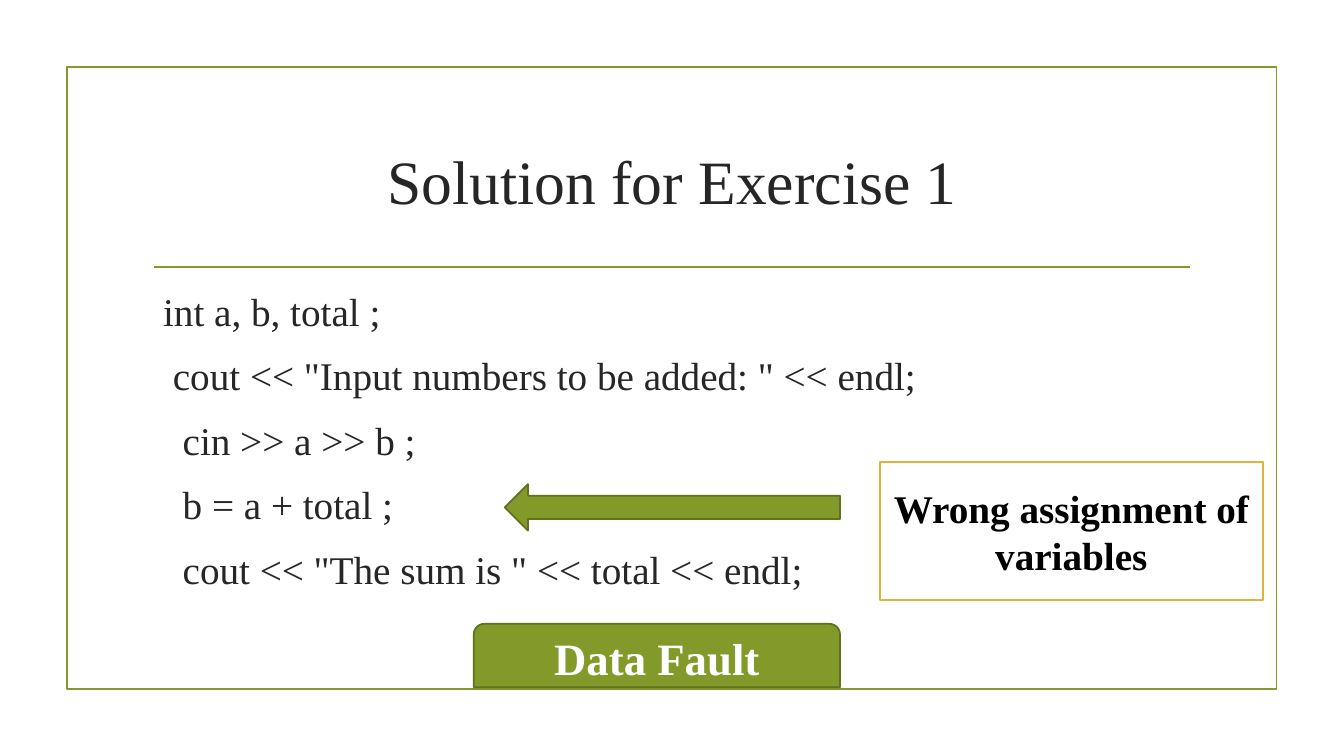
import pptx
import pptx.util
import pptx.dml.color
import pptx.enum.shapes
import pptx.enum.text
import pptx.oxml.ns
from dataclasses import dataclass
from lxml import etree

Cm = pptx.util.Cm
Pt = pptx.util.Pt
SHAPES = pptx.enum.shapes.MSO_SHAPE
ANCHOR = pptx.enum.text.MSO_ANCHOR
ALIGN = pptx.enum.text.PP_ALIGN

TITLE = "Solution for Exercise 1"
CODE = [
    " int a, b, total ;",
    '  cout << "Input numbers to be added: " << endl;',
    "   cin >> a >> b ;",
    "   b = a + total ;",
    '   cout << "The sum is " << total << endl;',
]
REASON = "Wrong assignment of variables"
FAULT = "Data Fault"


@dataclass
class Theme:
    font: str = "Times New Roman"
    ink: str = "262626"
    black: str = "000000"
    white: str = "FFFFFF"
    green: str = "83992A"
    dark_green: str = "61711F"
    gold: str = "DEB340"
    title_size: int = 44
    code_size: int = 28
    reason_size: int = 28
    fault_size: int = 32
    line_width: float = 1.25


theme = Theme()


def color(value):
    return pptx.dml.color.RGBColor.from_string(value)


def place(shape, left, top, width, height):
    shape.left, shape.top = Cm(left), Cm(top)
    shape.width, shape.height = Cm(width), Cm(height)


def style_font(para, size, ink, bold=False):
    for span in para.runs:
        span.font.name = theme.font
        span.font.size = Pt(size)
        span.font.bold = bold
        span.font.color.rgb = color(ink)


def add_centred_text(shape, text, size, ink, bold=False):
    frame = shape.text_frame
    frame.text = text
    frame.word_wrap = True
    frame.vertical_anchor = ANCHOR.MIDDLE
    para = frame.paragraphs[0]
    para.alignment = ALIGN.CENTER
    style_font(para, size, ink, bold)


def add_outline(line, ink):
    line.color.rgb = color(ink)
    line.width = Pt(theme.line_width)


def add_block(page, kind, bounds, fill, outline):
    block = page.shapes.add_shape(kind, *map(Cm, bounds))
    block.shadow.inherit = False
    if fill:
        block.fill.solid()
        block.fill.fore_color.rgb = color(fill)
    else:
        block.fill.background()
    add_outline(block.line, outline)
    return block


def add_rule(page, left, right, top):
    rule = page.shapes.add_connector(
        pptx.enum.shapes.MSO_CONNECTOR.STRAIGHT, Cm(left), Cm(top), Cm(right), Cm(top))
    add_outline(rule.line, theme.green)
    etree.SubElement(rule._element.spPr, pptx.oxml.ns.qn("a:effectLst"))


def fill_code(body):
    frame = body.text_frame
    frame.text = "\n".join(CODE)
    frame.word_wrap = True
    frame.auto_size = pptx.enum.text.MSO_AUTO_SIZE.NONE
    frame.vertical_anchor = ANCHOR.TOP
    for index, para in enumerate(frame.paragraphs):
        properties = para._p.get_or_add_pPr()
        properties.set("marL", "0")
        properties.set("indent", "0")
        etree.SubElement(properties, pptx.oxml.ns.qn("a:buNone"))
        para.space_before = Pt(6.4 if index else 0)
        para.space_after = Pt(6)
        style_font(para, theme.code_size, theme.ink)


def main():
    deck = pptx.Presentation()
    deck.slide_width, deck.slide_height = Cm(33.87), Cm(19.05)
    page = deck.slides.add_slide(deck.slide_layouts[1])

    add_block(page, SHAPES.RECTANGLE, (1.69, 1.69, 30.48, 15.68), None, theme.green)
    add_rule(page, 3.89, 30, 6.73)

    title, body = page.placeholders
    place(title, 3.61, 2.72, 26.67, 3.63)
    add_centred_text(title, TITLE, theme.title_size, theme.ink)
    place(body, 3.61, 7.11, 26.67, 8.05)
    fill_code(body)

    add_block(page, SHAPES.LEFT_ARROW, (12.72, 12.2, 8.45, 1.17), theme.green, theme.dark_green)
    reason = add_block(page, SHAPES.RECTANGLE, (22.17, 11.65, 9.66, 3.48), theme.white, theme.gold)
    add_centred_text(reason, REASON, theme.reason_size, theme.black, True)
    fault = add_block(page, SHAPES.ROUND_2_SAME_RECTANGLE, (11.94, 15.72, 9.23, 1.6),
                      theme.green, theme.dark_green)
    add_centred_text(fault, FAULT, theme.fault_size, theme.white, True)

    deck.save("out.pptx")


if __name__ == "__main__":
    main()
